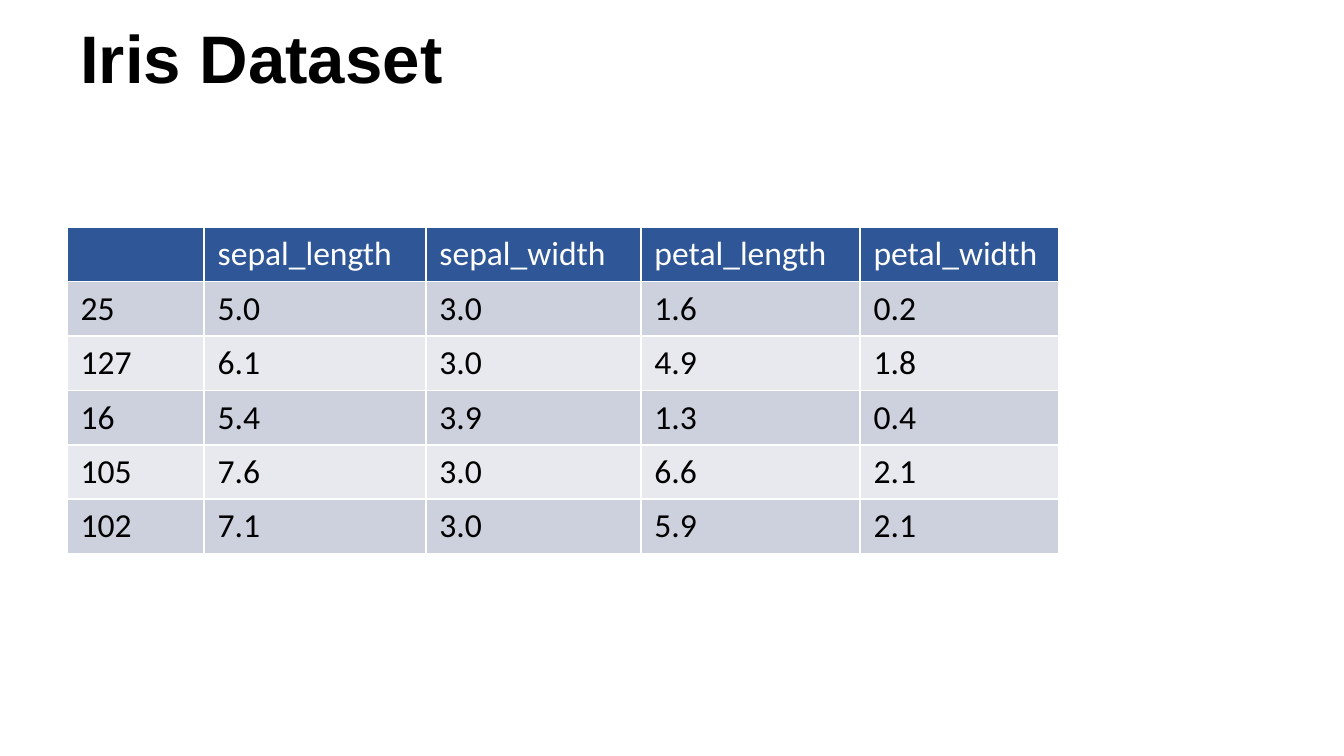
from dataclasses import dataclass

from lxml.etree import SubElement
from pptx import Presentation
from pptx.dml.color import RGBColor
from pptx.enum.text import MSO_ANCHOR
from pptx.oxml.ns import qn
from pptx.util import Inches, Pt


@dataclass(frozen=True)
class Theme:
    title_font: str = "Arial"
    table_font: str = "Calibri"
    title_size: int = 36
    table_size: int = 18
    text: str = "000000"
    header_text: str = "FFFFFF"
    header_fill: str = "2F5696"
    band_fills: tuple[str, str] = ("CDD1DD", "E8E9EF")
    border: str = "FFFFFF"
    border_width: int = 1


@dataclass(frozen=True)
class Column:
    heading: str
    width: float
    values: tuple[str, ...]


THEME = Theme()
SLIDE_WIDTH = 10
SLIDE_HEIGHT = SLIDE_WIDTH * 9 / 16
TABLE_HEIGHT = 2.43
COLUMNS = (
    Column("", 1.02, ("25", "127", "16", "105", "102")),
    Column("sepal_length", 1.65, ("5.0", "6.1", "5.4", "7.6", "7.1")),
    Column("sepal_width", 1.6, ("3.0", "3.0", "3.9", "3.0", "3.0")),
    Column("petal_length", 1.63, ("1.6", "4.9", "1.3", "6.6", "5.9")),
    Column("petal_width", 1.48, ("0.2", "1.8", "0.4", "2.1", "2.1")),
)


def write_text(text_frame, text: str, *, font: str, size: int, color: str,
               bold: bool = False, line_spacing: float = 1.0) -> None:
    paragraph = text_frame.paragraphs[0]
    paragraph.line_spacing = line_spacing
    paragraph.font.size = Pt(size)
    if not text:
        return
    run = paragraph.add_run()
    run.text = text
    run.font.name = font
    run.font.size = Pt(size)
    run.font.bold = bold
    run.font.color.rgb = RGBColor.from_string(color)


def add_title(slide, text: str) -> None:
    title = slide.shapes.add_textbox(Inches(0.5), Inches(0.07), Inches(8.86), Inches(0.78))
    title.text_frame.word_wrap = True
    title.text_frame.vertical_anchor = MSO_ANCHOR.MIDDLE
    write_text(title.text_frame, text, font=THEME.title_font, size=THEME.title_size,
               color=THEME.text, bold=True, line_spacing=0.9)


def set_borders(cell) -> None:
    properties = cell._tc.get_or_add_tcPr()
    for side in ("a:lnL", "a:lnR", "a:lnT", "a:lnB"):
        line = SubElement(properties, qn(side), w=str(Pt(THEME.border_width)))
        fill = SubElement(line, qn("a:solidFill"))
        SubElement(fill, qn("a:srgbClr"), val=THEME.border)


def format_cell(cell, text: str, row: int) -> None:
    is_header = row == 0
    # Borders come before the fill in the cell properties
    set_borders(cell)
    cell.fill.solid()
    fill = THEME.header_fill if is_header else THEME.band_fills[(row - 1) % 2]
    cell.fill.fore_color.rgb = RGBColor.from_string(fill)
    write_text(cell.text_frame, text, font=THEME.table_font, size=THEME.table_size,
               color=THEME.header_text if is_header else THEME.text)


def add_data_table(slide, columns: tuple[Column, ...]) -> None:
    row_count = len(columns[0].values) + 1
    width = sum(column.width for column in columns)
    table = slide.shapes.add_table(
        row_count, len(columns), Inches(0.5), Inches(1.69),
        Inches(width), Inches(TABLE_HEIGHT)).table
    for row in table.rows:
        row.height = Inches(TABLE_HEIGHT / row_count)
    for column_index, column in enumerate(columns):
        table.columns[column_index].width = Inches(column.width)
        for row_index, text in enumerate((column.heading, *column.values)):
            format_cell(table.cell(row_index, column_index), text, row_index)


def main() -> None:
    presentation = Presentation()
    presentation.slide_width = Inches(SLIDE_WIDTH)
    presentation.slide_height = Inches(SLIDE_HEIGHT)
    slide = presentation.slides.add_slide(presentation.slide_layouts[6])

    # Title
    add_title(slide, "Iris Dataset")

    # Sample rows of the data set
    add_data_table(slide, COLUMNS)

    presentation.save("out.pptx")


if __name__ == "__main__":
    main()
